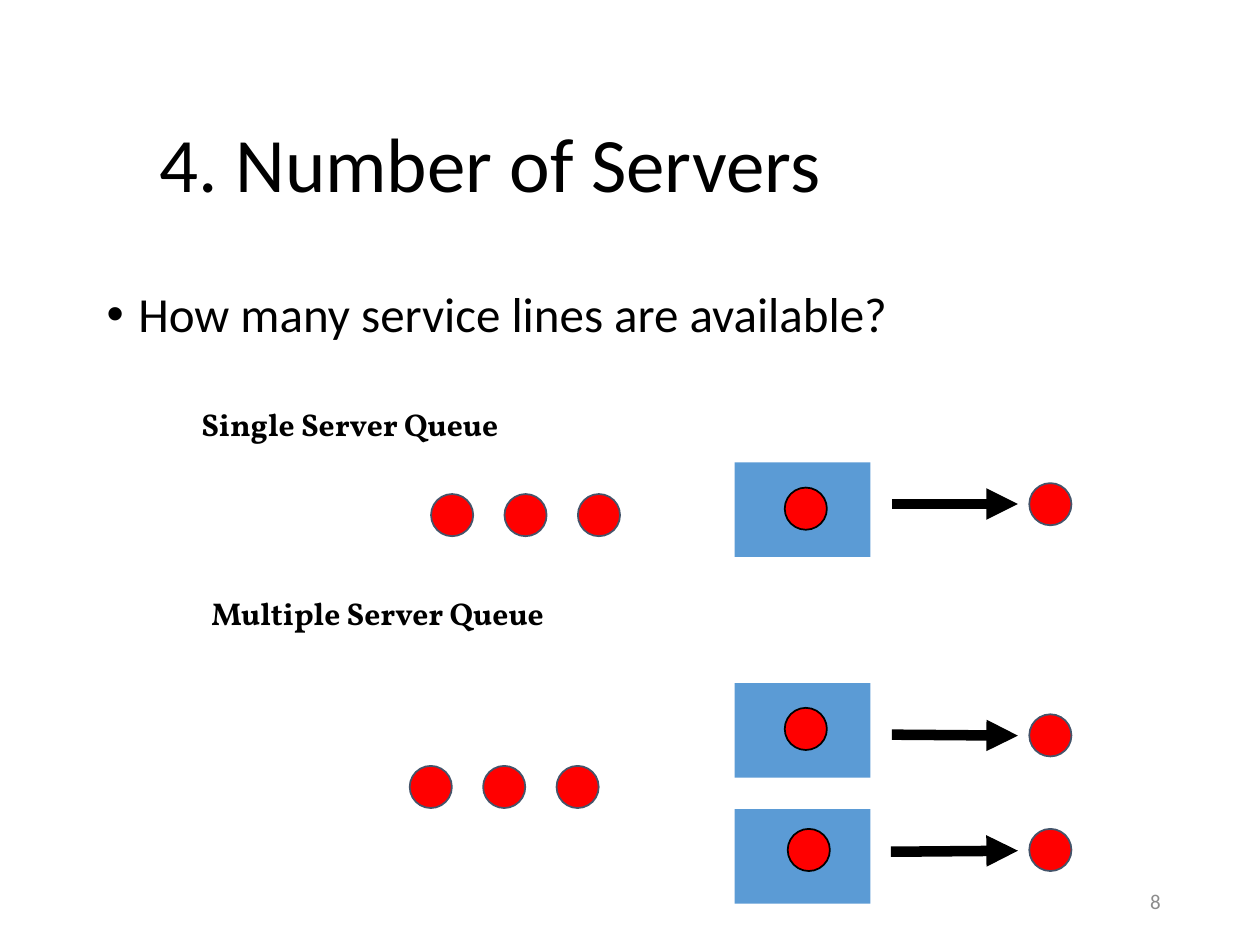
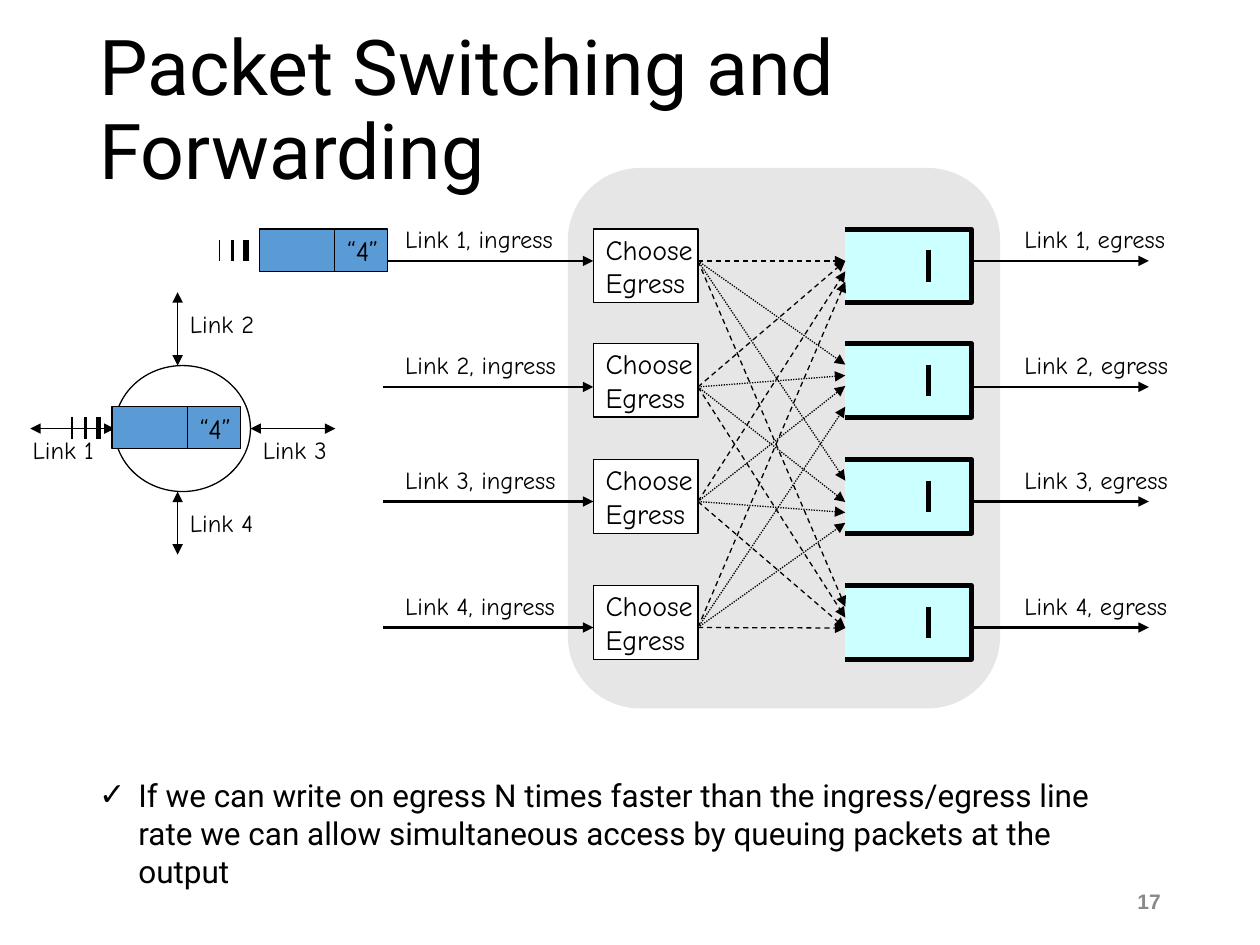
from lxml import etree
from pptx import Presentation
from pptx import util as u
from pptx.dml.color import RGBColor
from pptx.enum import dml, shapes, text
from pptx.oxml.ns import qn

# ---- Shared style (lengths in cm, type sizes and line widths in points) ----
BLACK, WHITE, BLUE, RED, SLATE = "000000", "FFFFFF", "5B9BD5", "FF0000", "44546A"
PALE_GRAY, PALE_CYAN = "E7E6E6", "CCFFFF"
HAND = "Comic Neue"
PAGE_NUMBER_BOX = (17.93, 17.65, 5.72, 1.02)
ALIGN, ANCHOR = text.PP_ALIGN, text.MSO_ANCHOR
SHAPE = shapes.MSO_SHAPE

# ---- Content: number of servers ----
SERVERS = {
    "title": "4. Number of Servers",
    "bullet": "How many service lines are available?",
    "page": "8",
}
# label, label box, first waiting customer
QUEUES = [
    ("Single Server Queue", (3.81, 8.04, 8.51, 1.27), (8.69, 9.96)),
    ("Multiple Server Queue", (4.01, 11.86, 9.45, 1.27), (8.26, 15.44)),
]
# server top, customer in service, arrow start, arrow end, top of leaving customer
SERVICE_LINES = [
    (9.32, (15.82, 9.83), (17.98, 10.16), (20.52, 10.16), 9.74),
    (13.77, (15.82, 14.27), (17.98, 14.81), (20.52, 14.83), 14.4),
    (16.31, (15.88, 16.71), (17.96, 17.17), (20.52, 17.15), 16.71),
]
WAITING, WAITING_STEP, CUSTOMER = 3, 1.48, 0.85

# ---- Content: packet switching ----
SWITCHING = {
    "title": "Packet Switching and Forwarding",
    "bullet": "If we can write on egress N times faster than the ingress/egress "
              "line rate we can allow simultaneous access by queuing packets at "
              "the output",
    "page": "17",
}
# label, label position, spoke start, spoke end
ROUTER_LINKS = [
    ("Link 1", (0.41, 8.64), (0.61, 8.64), (2.31, 8.64)),
    ("Link 2", (3.58, 6.1), (3.58, 5.89), (3.58, 7.37)),
    ("Link 3", (5.05, 8.64), (5.05, 8.64), (6.76, 8.64)),
    ("Link 4", (3.58, 10.11), (3.58, 9.91), (3.58, 11.18)),
]
# link height, box top, dash of incoming paths, entry of each path below box top
LANES = [
    (5.26, 4.62, "DASH", (0.64, 0.64, 0.85, 1.06)),
    (7.8, 6.93, "ROUND_DOT", (0.42, 0.64, 0.85, 1.27)),
    (10.11, 9.27, "ROUND_DOT", (0.42, 0.85, 1.06, 1.27)),
    (12.65, 11.81, "DASH", (0.42, 0.64, 0.85, 0.85)),
]
# direction, line start x, line end x, label x, label width
DIRECTIONS = [
    ("ingress", 7.72, 11.96, 7.92, 3.8),
    ("egress", 18.95, 23.16, 20.4, 3.66),
]
CHOOSE_X, CHOOSE_WIDTH, QUEUE_X, QUEUE_WIDTH, BOX_HEIGHT = 11.96, 2.11, 17.04, 2.54, 1.48
PACKETS = [(2.26, 8.2), (5.23, 4.62)]
TRAIL_WIDTHS = (3, 1.5, 0.75)


# ---- Helpers ----
def color(hex_string):
    return RGBColor.from_string(hex_string)


def cm(*values):
    return [u.Cm(value) for value in values]


def write(shape, words, font, size, bold=False, align=ALIGN.LEFT,
          anchor=ANCHOR.TOP, wrap=True, spacing=None, ink=BLACK, bullet=None, indent=0):
    frame = shape.text_frame
    frame.text = words
    frame.word_wrap = wrap
    frame.vertical_anchor = anchor
    for paragraph in frame.paragraphs:
        paragraph.alignment = align
        if spacing:
            paragraph.line_spacing = spacing
        if bullet:
            properties = paragraph._p.get_or_add_pPr()
            properties.set("marL", str(u.Cm(indent)))
            properties.set("indent", str(-u.Cm(indent)))
            etree.SubElement(properties, qn("a:buFont"), typeface="Arial")
            etree.SubElement(properties, qn("a:buChar"), char=bullet)
        paragraph.font.name = font
        paragraph.font.size = u.Pt(size)
        paragraph.font.bold = bold
        paragraph.font.color.rgb = color(ink)


def add_text(slide, box, words, font, size, **style):
    written = slide.shapes.add_textbox(*cm(*box))
    write(written, words, font, size, **style)
    return written


def add_label(slide, box, words, font, size, bold=False):
    label = add_text(slide, box, words, font, size, bold=bold, wrap=False)
    label.text_frame.auto_size = text.MSO_AUTO_SIZE.SHAPE_TO_FIT_TEXT


def paint(shape, fill, line=None, width=0.75):
    shape.shadow.inherit = False
    shape.fill.solid()
    shape.fill.fore_color.rgb = color(fill)
    if line:
        shape.line.color.rgb = color(line)
        shape.line.width = u.Pt(width)
    else:
        shape.line.fill.background()
    return shape


def add_shape(slide, kind, box, fill, line=None, width=0.75):
    return paint(slide.shapes.add_shape(kind, *cm(*box)), fill, line, width)


def add_line(slide, start, end, width=0.75, arrows=(), dash=None):
    line = slide.shapes.add_connector(shapes.MSO_CONNECTOR.STRAIGHT, *cm(*start, *end))
    line.line.color.rgb = color(BLACK)
    line.line.width = u.Pt(width)
    if dash:
        line.line.dash_style = dml.MSO_LINE[dash]
    for arrow in arrows:
        etree.SubElement(line.line._get_or_add_ln(), qn(f"a:{arrow}"), type="triangle")
    etree.SubElement(line._element.spPr, qn("a:effectLst"))


def start_slide(deck, content, title_box, title_font, number_font, number_ink, bold):
    slide = deck.slides.add_slide(deck.slide_layouts[6])
    add_text(slide, title_box, content["title"], title_font, 44,
             anchor=ANCHOR.MIDDLE, spacing=0.9)
    add_text(slide, PAGE_NUMBER_BOX, content["page"], number_font, 12, bold=bold,
             align=ALIGN.RIGHT, anchor=ANCHOR.MIDDLE, ink=number_ink)
    return slide


# ---- Number of servers ----
def add_customer(slide, position, outline=SLATE):
    add_shape(slide, SHAPE.OVAL, (*position, CUSTOMER, CUSTOMER), RED, outline, 1)


def build_servers(deck):
    slide = start_slide(deck, SERVERS, (2.97, 2.34, 18.47, 2.08),
                        "Calibri", "Calibri", "8C8C8C", False)
    add_text(slide, (1.9, 5.72, 21.6, 2.1), SERVERS["bullet"], "Calibri", 28,
             spacing=0.9, bullet="•", indent=0.64)

    for label, box, (left, top) in QUEUES:
        add_label(slide, box, label, "Vollkorn", 18, bold=True)
        for place in range(WAITING):
            add_customer(slide, (left + place * WAITING_STEP, top))

    for server_top, served, start, end, leaving_top in SERVICE_LINES:
        add_shape(slide, SHAPE.RECTANGLE, (14.81, server_top, 2.74, 1.91), BLUE)
        add_customer(slide, served, BLACK)
        add_line(slide, start, end, 6, ["tailEnd"])
        add_customer(slide, (20.75, leaving_top))


# ---- Packet switching ----
def add_egress_queue(slide, top):
    right, bottom = QUEUE_X + QUEUE_WIDTH, top + BOX_HEIGHT
    outline = slide.shapes.build_freeform(*cm(QUEUE_X, top))
    corners = [(right, top), (right, bottom), (QUEUE_X, bottom)]
    outline.add_line_segments([cm(*corner) for corner in corners], close=False)
    paint(outline.convert_to_shape(), PALE_CYAN, BLACK, 3)
    add_line(slide, (18.72, top + 0.42), (18.72, top + 1.06), 3)


def add_packet(slide, left, top):
    add_shape(slide, SHAPE.RECTANGLE, (left, top, 1.52, 0.85), BLUE, BLACK)
    for step, width in enumerate(TRAIL_WIDTHS, 1):
        x = left - step * 0.27
        add_line(slide, (x, top + 0.21), (x, top + 0.64), width)
    header = add_shape(slide, SHAPE.RECTANGLE, (left + 1.52, top, 1.07, 0.85), BLUE, BLACK)
    write(header, "“4”", HAND, 16, anchor=ANCHOR.MIDDLE, wrap=False)


def build_switching(deck):
    slide = start_slide(deck, SWITCHING, (1.75, 0.43, 21.9, 3.68),
                        "Roboto", "Arial", "898989", True)

    # Router with its four links
    add_shape(slide, SHAPE.OVAL, (2.31, 7.37, 2.74, 2.54), WHITE, BLACK)
    for label, position, start, end in ROUTER_LINKS:
        add_line(slide, start, end, arrows=["headEnd", "tailEnd"])
        add_label(slide, (*position, 1.88, 0.84), label, HAND, 14)

    # Switch fabric and the links in and out
    fabric = add_shape(slide, SHAPE.ROUNDED_RECTANGLE, (11.46, 3.4, 8.69, 10.87),
                       PALE_GRAY, PALE_GRAY)
    fabric.adjustments[0] = 0.167
    for number, (height, *_) in enumerate(LANES, 1):
        for direction, start, end, label_x, label_width in DIRECTIONS:
            add_line(slide, (start, height), (end, height), 1.5, ["tailEnd"])
            add_label(slide, (label_x, height - 0.86, label_width, 0.84),
                      f"Link {number}, {direction}", HAND, 14)

    # Egress queues, reached from every ingress
    for _, top, dash, entries in LANES:
        add_egress_queue(slide, top)
        for (height, *_), entry in zip(LANES, entries):
            add_line(slide, (CHOOSE_X + CHOOSE_WIDTH, height), (QUEUE_X, top + entry),
                     arrows=["tailEnd"], dash=dash)

    # Egress choice at each ingress
    for _, top, *_ in LANES:
        choice = add_shape(slide, SHAPE.RECTANGLE,
                           (CHOOSE_X, top, CHOOSE_WIDTH, BOX_HEIGHT), WHITE, BLACK)
        write(choice, "Choose\nEgress", HAND, 16, anchor=ANCHOR.MIDDLE, wrap=False)

    for position in PACKETS:
        add_packet(slide, *position)
    add_text(slide, (1.75, 15.52, 21.64, 1.8), SWITCHING["bullet"], "Roboto", 18,
             bullet="✓", indent=0.79)


def main():
    deck = Presentation()
    deck.slide_width, deck.slide_height = cm(25.4, 19.05)
    build_servers(deck)
    build_switching(deck)
    deck.save("out.pptx")


if __name__ == "__main__":
    main()
